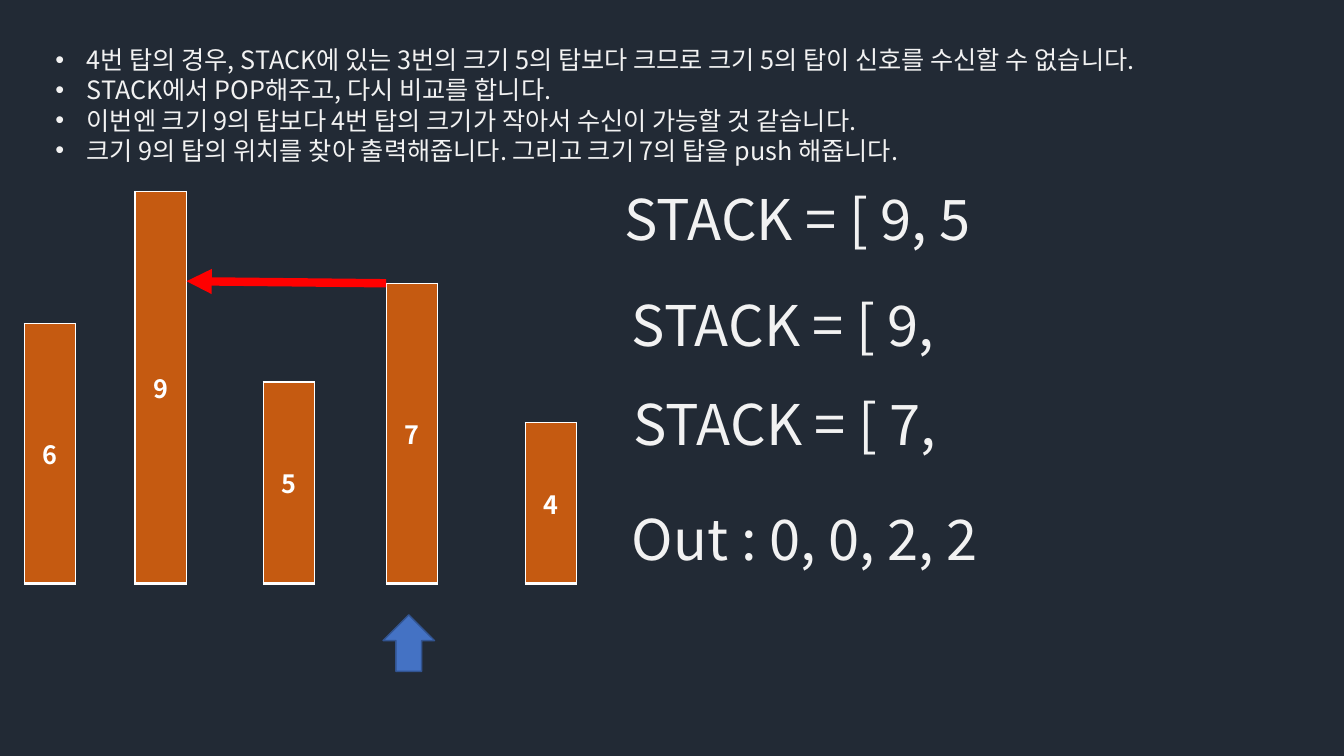
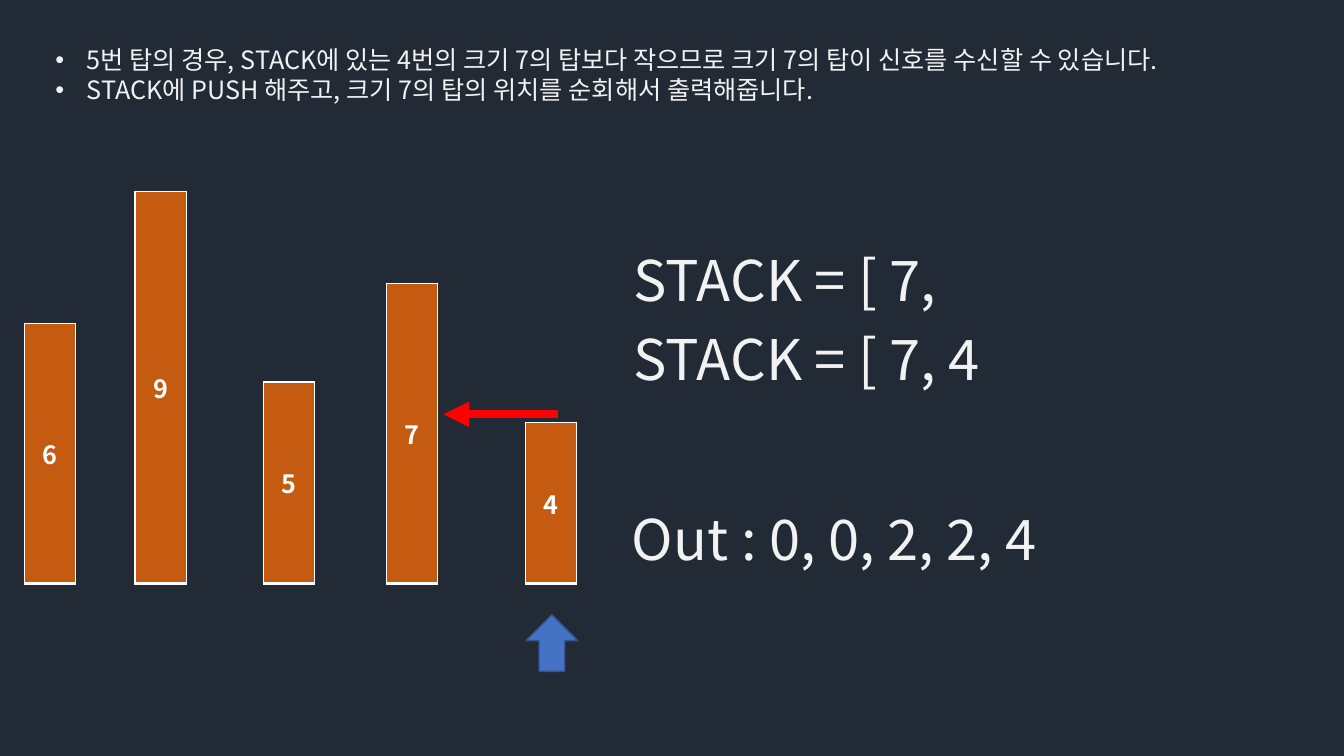
from dataclasses import dataclass

from lxml import etree
from pptx import Presentation
from pptx.dml.color import RGBColor
from pptx.enum.shapes import MSO_CONNECTOR, MSO_SHAPE
from pptx.enum.text import MSO_ANCHOR, MSO_AUTO_SIZE, PP_ALIGN
from pptx.oxml.ns import qn
from pptx.slide import Slide
from pptx.text.text import TextFrame, _Paragraph
from pptx.util import Inches, Pt

STRAIGHT = MSO_CONNECTOR.STRAIGHT
UP_ARROW = MSO_SHAPE.UP_ARROW
MIDDLE = MSO_ANCHOR.MIDDLE
TOP = MSO_ANCHOR.TOP
CENTER = PP_ALIGN.CENTER
LEFT = PP_ALIGN.LEFT
GROW = MSO_AUTO_SIZE.SHAPE_TO_FIT_TEXT

SLIDE_WIDTH = Inches(13.33)
SLIDE_HEIGHT = Inches(7.5)
GRID_COUNT = 100
FONT = "Noto Sans CJK KR"

BACKGROUND = "222A35"
TEXT = "F2F2F2"
WHITE = "FFFFFF"
TOWER_FILL = "C55A11"
POINTER_FILL = "4472C4"
POINTER_LINE = "325491"
SIGNAL = "FF0000"

BASELINE = 77.2
BAR_WIDTH = 3.83
POINTER_TOP = 81.33
POINTER_HEIGHT = 7.47
LIST_LEFT = 3.38
LIST_TOP = 5.2
LIST_WIDTH = 91.8
LIST_HEIGHT = 17.47
LABEL_WIDTH = 47.93
LABEL_HEIGHT = 10.27
BULLET_INDENT = Inches(0.31)
BORDERS = (("lnL", 1), ("lnR", 1), ("lnT", 1), ("lnB", 3))


@dataclass(frozen=True)
class Tower:
    size: str
    left: float
    top: float


@dataclass(frozen=True)
class Label:
    text: str
    left: float
    top: float


@dataclass(frozen=True)
class Signal:
    from_column: float
    from_row: float
    to_column: float
    to_row: float


@dataclass(frozen=True)
class Step:
    bullets: tuple[str, ...]
    pointer_left: float
    signal: Signal
    labels: tuple[Label, ...]


TOWERS = (
    Tower("6", 1.8, 42.8),
    Tower("9", 10.05, 25.33),
    Tower("5", 19.58, 50.53),
    Tower("7", 28.73, 37.47),
    Tower("4", 39.08, 55.87),
)

STEPS = (
    Step(
        (
            "4번 탑의 경우, STACK에 있는 3번의 크기 5의 탑보다 크므로 크기 5의 탑이 신호를 수신할 수 없습니다.",
            "STACK에서 POP해주고, 다시 비교를 합니다.",
            "이번엔 크기 9의 탑보다 4번 탑의 크기가 작아서 수신이 가능할 것 같습니다.",
            "크기 9의 탑의 위치를 찾아 출력해줍니다. 그리고 크기 7의 탑을 push 해줍니다.",
        ),
        28.5,
        Signal(28.73, 37.47, 13.88, 37.2),
        (
            Label("STACK = [ 9, 5", 45.75, 23.73),
            Label("STACK = [ 9,", 46.28, 37.73),
            Label("STACK = [ 7,", 46.43, 50.93),
            Label("Out : 0, 0, 2, 2", 46.28, 66.13),
        ),
    ),
    Step(
        (
            "5번 탑의 경우, STACK에 있는 4번의 크기 7의 탑보다 작으므로 크기 7의 탑이 신호를 수신할 수 있습니다.",
            "STACK에 PUSH 해주고, 크기 7의 탑의 위치를 순회해서 출력해줍니다.",
        ),
        39.15,
        Signal(41.55, 54.8, 33, 54.8),
        (
            Label("STACK = [ 7,", 46.43, 31.87),
            Label("STACK = [ 7, 4", 46.43, 42.27),
            Label("Out : 0, 0, 2, 2, 4", 46.28, 66.13),
        ),
    ),
)


def color(value: str) -> RGBColor:
    return RGBColor.from_string(value)


def columns(count: float) -> int:
    return round(SLIDE_WIDTH * count / GRID_COUNT)


def rows(count: float) -> int:
    return round(SLIDE_HEIGHT * count / GRID_COUNT)


def add_run(paragraph: _Paragraph, text: str, size: int, text_color: str, bold: bool = False) -> None:
    run = paragraph.add_run()
    run.text = text
    run.font.size = Pt(size)
    run.font.bold = bold
    run.font.name = FONT
    run.font.color.rgb = color(text_color)
    etree.SubElement(run.font._element, qn("a:ea"), typeface=FONT)


def fit_text(frame: TextFrame) -> None:
    frame.word_wrap = True
    frame.auto_size = GROW
    frame.vertical_anchor = TOP


def add_tower(slide: Slide, tower: Tower) -> None:
    frame = slide.shapes.add_table(
        1, 1, columns(tower.left), rows(tower.top), columns(BAR_WIDTH), rows(BASELINE - tower.top)
    )
    table = frame.table
    table.first_row = False
    table.horz_banding = False
    cell = table.cell(0, 0)
    cell.vertical_anchor = MIDDLE
    cell.fill.solid()
    cell.fill.fore_color.rgb = color(TOWER_FILL)
    properties = cell._tc.get_or_add_tcPr()
    for index, (side, width) in enumerate(BORDERS):
        border = etree.Element(qn(f"a:{side}"), w=str(Pt(width)))
        fill = etree.SubElement(border, qn("a:solidFill"))
        etree.SubElement(fill, qn("a:srgbClr"), val=WHITE)
        properties.insert(index, border)
    paragraph = cell.text_frame.paragraphs[0]
    paragraph.alignment = CENTER
    add_run(paragraph, tower.size, 18, WHITE, bold=True)


def add_pointer(slide: Slide, left: float) -> None:
    pointer = slide.shapes.add_shape(
        UP_ARROW, columns(left), rows(POINTER_TOP), columns(BAR_WIDTH), rows(POINTER_HEIGHT)
    )
    pointer.shadow.inherit = False
    pointer.fill.solid()
    pointer.fill.fore_color.rgb = color(POINTER_FILL)
    pointer.line.color.rgb = color(POINTER_LINE)
    pointer.line.width = Pt(1)


def add_signal(slide: Slide, signal: Signal) -> None:
    connector = slide.shapes.add_connector(
        STRAIGHT,
        columns(signal.from_column),
        rows(signal.from_row),
        columns(signal.to_column),
        rows(signal.to_row),
    )
    connector.line.color.rgb = color(SIGNAL)
    connector.line.width = Pt(6)
    etree.SubElement(connector.line._get_or_add_ln(), qn("a:tailEnd"), type="triangle")
    etree.SubElement(connector._element.spPr, qn("a:effectLst"))


def add_label(slide: Slide, label: Label) -> None:
    box = slide.shapes.add_textbox(
        columns(label.left), rows(label.top), columns(LABEL_WIDTH), rows(LABEL_HEIGHT)
    )
    fit_text(box.text_frame)
    add_run(box.text_frame.paragraphs[0], label.text, 40, TEXT)


def fill_list(slide: Slide, bullets: tuple[str, ...]) -> None:
    body = slide.placeholders[1]
    body.left, body.top = columns(LIST_LEFT), rows(LIST_TOP)
    body.width, body.height = columns(LIST_WIDTH), rows(LIST_HEIGHT)
    frame = body.text_frame
    fit_text(frame)
    for index, text in enumerate(bullets):
        paragraph = frame.add_paragraph() if index else frame.paragraphs[0]
        properties = paragraph._p.get_or_add_pPr()
        properties.set("marL", str(BULLET_INDENT))
        properties.set("indent", str(-BULLET_INDENT))
        etree.SubElement(properties, qn("a:buFont"), typeface="Arial")
        etree.SubElement(properties, qn("a:buChar"), char="•")
        paragraph.alignment = LEFT
        paragraph.space_before = Pt(0)
        add_run(paragraph, text, 18, TEXT)


def main() -> None:
    presentation = Presentation()
    presentation.slide_width = SLIDE_WIDTH
    presentation.slide_height = SLIDE_HEIGHT
    background = presentation.slide_master.background.fill
    background.solid()
    background.fore_color.rgb = color(BACKGROUND)
    for step in STEPS:
        slide = presentation.slides.add_slide(presentation.slide_layouts[1])
        title = slide.shapes.title.element
        title.getparent().remove(title)
        fill_list(slide, step.bullets)
        for tower in TOWERS:
            add_tower(slide, tower)
        add_pointer(slide, step.pointer_left)
        add_signal(slide, step.signal)
        for label in step.labels:
            add_label(slide, label)
    presentation.save("out.pptx")


if __name__ == "__main__":
    main()
